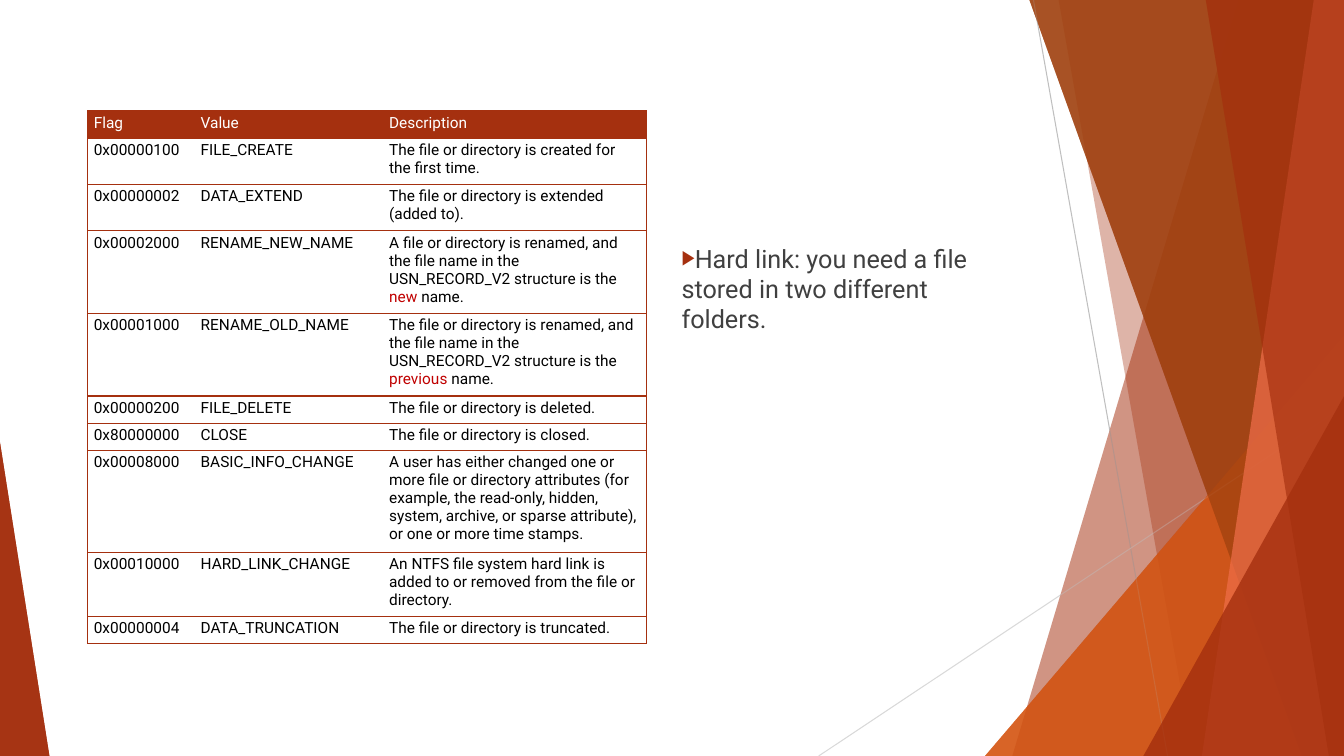
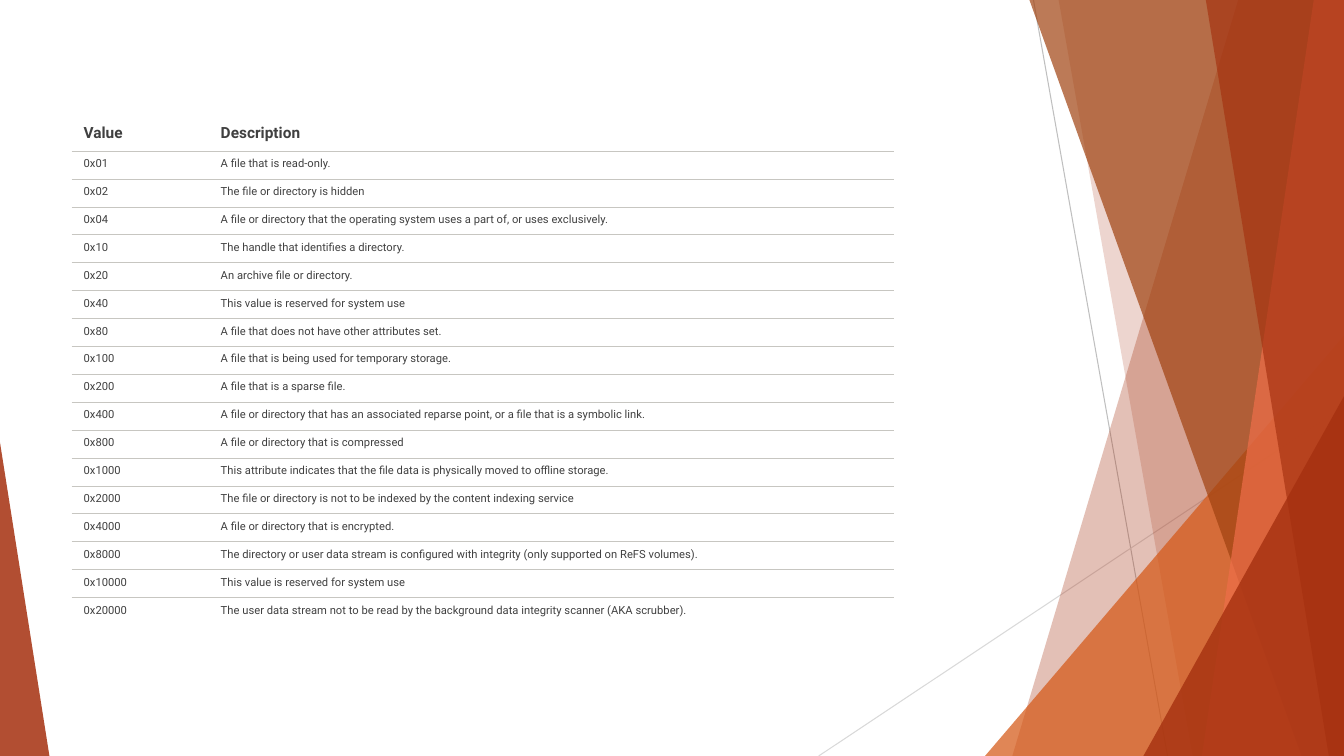
from dataclasses import dataclass

from lxml.etree import SubElement
from pptx import Presentation
from pptx.dml.color import RGBColor
from pptx.enum.shapes import MSO_CONNECTOR as Connector, MSO_SHAPE as Preset
from pptx.enum.text import MSO_AUTO_SIZE as AutoSize, MSO_ANCHOR as Anchor
from pptx.oxml.ns import qn
from pptx.util import Inches, Pt


@dataclass(frozen=True)
class Theme:
    font: str = "Roboto"
    rust: str = "A5300F"
    orange: str = "D55816"
    brown: str = "A04210"
    coral: str = "EE6E4A"
    ink: str = "404040"
    black: str = "000000"
    white: str = "FFFFFF"
    accent: str = "C00000"
    rule: str = "C7C6C1"
    steep_line: str = "BFBFBF"
    shallow_line: str = "D9D9D9"
    body_size: float = 18
    table_size: float = 11
    small_size: float = 8


@dataclass(frozen=True)
class Box:
    left: float
    top: float
    width: float
    height: float

    def inches(self):
        return [Inches(value) for value in (self.left, self.top, self.width, self.height)]


THEME = Theme()
PAGE = Box(0, 0, 13.33, 7.5)

BACKDROP = [
    ("shard", 12.28, 10.04, THEME.rust, 30),
    ("shard", 10.5, 11.83, THEME.rust, 20),
    ("right corner", 3.56, 4.17, THEME.orange, 72),
    ("shard", 10.21, 12.91, THEME.brown, 70),
    ("shard", 13.03, 11.92, THEME.coral, 70),
    ("shard", 11.96, 13.18, THEME.rust, 65),
    ("right corner", 1.99, 3.57, THEME.rust, 80),
    ("left corner", 0.49, 3.11, THEME.rust, 85),
]
BACKDROP_LINES = [
    (10.25, 0, 11.58, 7.5, THEME.steep_line),
    (13.33, 4.03, 8.12, 7.5, THEME.shallow_line),
]

CHANGE_FLAGS = [
    ("Flag", "Value", "Description"),
    ("0x00000100", "FILE_CREATE", "The file or directory is created for the first time."),
    ("0x00000002", "DATA_EXTEND", "The file or directory is extended (added to)."),
    ("0x00002000", "RENAME_NEW_NAME",
     "A file or directory is renamed, and the file name in the USN_RECORD_V2 structure is the *new* name."),
    ("0x00001000", "RENAME_OLD_NAME",
     "The file or directory is renamed, and the file name in the USN_RECORD_V2 structure is the *previous* name."),
    ("0x00000200", "FILE_DELETE", "The file or directory is deleted."),
    ("0x80000000", "CLOSE", "The file or directory is closed."),
    ("0x00008000", "BASIC_INFO_CHANGE",
     "A user has either changed one or more file or directory attributes (for example, the read-only, "
     "hidden, system, archive, or sparse attribute), or one or more time stamps."),
    ("0x00010000", "HARD_LINK_CHANGE",
     "An NTFS file system hard link is added to or removed from the file or directory."),
    ("0x00000004", "DATA_TRUNCATION", "The file or directory is truncated."),
]
CHANGE_HEIGHTS = [0.27, 0.46, 0.46, 0.82, 0.82, 0.27, 0.27, 1.01, 0.64, 0.27]

FILE_ATTRIBUTES = [
    ("Value", "Description"),
    ("0x01", "A file that is read-only."),
    ("0x02", "The file or directory is hidden"),
    ("0x04", "A file or directory that the operating system uses a part of, or uses exclusively."),
    ("0x10", "The handle that identifies a directory."),
    ("0x20", "An archive file or directory."),
    ("0x40", "This value is reserved for system use"),
    ("0x80", "A file that does not have other attributes set."),
    ("0x100", "A file that is being used for temporary storage."),
    ("0x200", "A file that is a sparse file."),
    ("0x400", "A file or directory that has an associated reparse point, or a file that is a symbolic link."),
    ("0x800", "A file or directory that is compressed"),
    ("0x1000", "This attribute indicates that the file data is physically moved to offline storage."),
    ("0x2000", "The file or directory is not to be indexed by the content indexing service"),
    ("0x4000", "A file or directory that is encrypted."),
    ("0x8000", "The directory or user data stream is configured with integrity (only supported on ReFS volumes)."),
    ("0x10000", "This value is reserved for system use"),
    ("0x20000", "The user data stream not to be read by the background data integrity scanner (AKA scrubber)."),
]


def set_attributes(target, formats):
    for name, value in formats.items():
        setattr(target, name, value)


def add_run(paragraph, text, size, color, bold=False):
    run = paragraph.add_run()
    run.text = text
    set_attributes(run.font, {"name": THEME.font, "size": Pt(size), "bold": bold})
    run.font.color.rgb = RGBColor.from_string(color)


def add_color(parent, color):
    return SubElement(parent, qn("a:srgbClr"), val=color)


def paint(shape, color, opacity):
    shape.shadow.inherit = False
    shape.line.fill.background()
    shape.fill.solid()
    shape.fill.fore_color.rgb = RGBColor.from_string(color)
    color_element = shape.element.spPr.find(qn("a:solidFill"))[0]
    SubElement(color_element, qn("a:alpha"), val=str(opacity * 1000))


def add_shard(shapes, box, top_x, bottom_x):
    right, bottom = box.left + box.width, box.top + box.height
    corners = [(box.left + top_x, box.top), (right, box.top), (right, bottom), (box.left + bottom_x, bottom)]
    points = [(Inches(x), Inches(y)) for x, y in corners]
    builder = shapes.build_freeform(*points[0], scale=1.0)
    builder.add_line_segments(points[1:], close=True)
    return builder.convert_to_shape()


def add_corner(shapes, box, width, height, at_right):
    left = box.left + (box.width - width if at_right else 0)
    corner = Box(left, box.top + box.height - height, width, height)
    shape = shapes.add_shape(Preset.ISOSCELES_TRIANGLE, *corner.inches())
    shape.adjustments[0] = 1 if at_right else 0
    return shape


def add_backdrop_line(shapes, box, start_x, start_y, end_x, end_y, color):
    connector = shapes.add_connector(
        Connector.STRAIGHT,
        Inches(box.left + start_x), Inches(box.top + start_y),
        Inches(box.left + end_x), Inches(box.top + end_y))
    connector.line.width = Pt(0.75)
    connector.line.color.rgb = RGBColor.from_string(color)
    SubElement(connector.element.spPr, qn("a:effectLst"))


def add_backdrop(slide, box, with_lines=True):
    shapes = slide.shapes.add_group_shape().shapes
    if with_lines:
        for line in BACKDROP_LINES:
            add_backdrop_line(shapes, box, *line)
    for kind, first, second, color, opacity in BACKDROP:
        if kind == "shard":
            shape = add_shard(shapes, box, first, second)
        else:
            shape = add_corner(shapes, box, first, second, kind == "right corner")
        paint(shape, color, opacity)


def set_borders(cell, borders, width):
    properties = cell._tc.get_or_add_tcPr()
    for side in "LRTB":
        line = SubElement(properties, qn(f"a:ln{side}"), w=str(Pt(width)))
        color = borders.get(side)
        if color:
            add_color(SubElement(line, qn("a:solidFill")), color)
        else:
            SubElement(line, qn("a:noFill"))


def add_table(slide, box, rows, column_widths, row_heights, margins):
    table = slide.shapes.add_table(len(rows), len(rows[0]), *box.inches()).table
    set_attributes(table, {"first_row": False, "horz_banding": False})
    for column, width in zip(table.columns, column_widths):
        column.width = Inches(width)
    for row, height in zip(table.rows, row_heights):
        row.height = Inches(height)
    names = ("margin_left", "margin_top", "margin_right", "margin_bottom")
    cell_format = {name: Inches(value) for name, value in zip(names, margins)}
    for cell in table.iter_cells():
        set_attributes(cell, {**cell_format, "vertical_anchor": Anchor.TOP})
    return table


def add_change_table(slide, box):
    table = add_table(slide, box, CHANGE_FLAGS, [1.06, 1.87, 2.61], CHANGE_HEIGHTS, (0.06, 0.03, 0.06, 0.03))
    for row_index, row in enumerate(CHANGE_FLAGS):
        is_header = row_index == 0
        for column_index, text in enumerate(row):
            cell = table.cell(row_index, column_index)
            outer = {0: "L", len(row) - 1: "R"}.get(column_index, "")
            set_borders(cell, dict.fromkeys("TB" + outer, THEME.rust), 1)
            if is_header:
                cell.fill.solid()
                cell.fill.fore_color.rgb = RGBColor.from_string(THEME.rust)
            else:
                cell.fill.background()
            plain = THEME.white if is_header else THEME.black
            for part_index, part in enumerate(text.split("*")):
                color = THEME.accent if part_index % 2 else plain
                add_run(cell.text_frame.paragraphs[0], part, THEME.table_size, color)


def add_attribute_table(slide, box):
    header_height = 0.33
    last = len(FILE_ATTRIBUTES) - 1
    heights = [header_height] + [(box.height - header_height) / last] * last
    table = add_table(slide, box, FILE_ATTRIBUTES, [1.36, 6.8], heights, (0.12, 0.06, 0.09, 0.06))
    for row_index, row in enumerate(FILE_ATTRIBUTES):
        is_header = row_index == 0
        sides = ("" if is_header else "T") + ("" if row_index == last else "B")
        size = THEME.table_size if is_header else THEME.small_size
        for column_index, text in enumerate(row):
            cell = table.cell(row_index, column_index)
            set_borders(cell, dict.fromkeys(sides, THEME.rule), 0.75)
            cell.fill.background()
            add_run(cell.text_frame.paragraphs[0], text, size, THEME.ink, is_header)


def fill_body(body, box, text):
    set_attributes(body, dict(zip(("left", "top", "width", "height"), box.inches())))
    frame = body.text_frame
    set_attributes(frame, {"word_wrap": True, "auto_size": AutoSize.NONE, "vertical_anchor": Anchor.TOP})
    paragraph = frame.paragraphs[0]
    properties = paragraph._p.get_or_add_pPr()
    for name in ("marL", "indent"):
        properties.set(name, "0")
    add_color(SubElement(properties, qn("a:buClr")), THEME.rust)
    SubElement(properties, qn("a:buSzPct"), val="80000")
    SubElement(properties, qn("a:buFont"), typeface="Arial")
    SubElement(properties, qn("a:buChar"), char="▶")
    paragraph.space_before = Pt(0)
    add_run(paragraph, text, THEME.body_size, THEME.ink)


def add_change_slide(presentation):
    slide = presentation.slides.add_slide(presentation.slide_layouts[1])
    title = slide.shapes.title.element
    title.getparent().remove(title)
    add_backdrop(slide, PAGE, with_lines=False)
    add_backdrop(slide, PAGE)
    fill_body(slide.placeholders[1], Box(6.66, 2.36, 3.47, 4.24),
              "Hard link: you need a file stored in two different folders.")
    add_change_table(slide, Box(0.87, 1.1, 5.54, sum(CHANGE_HEIGHTS)))


def add_attribute_slide(presentation):
    slide = presentation.slides.add_slide(presentation.slide_layouts[6])
    add_backdrop(slide, PAGE)
    add_attribute_table(slide, Box(0.71, 1.17, 8.16, 5.04))


def main():
    presentation = Presentation()
    set_attributes(presentation, {"slide_width": Inches(PAGE.width), "slide_height": Inches(PAGE.height)})
    add_change_slide(presentation)
    add_attribute_slide(presentation)
    presentation.save("out.pptx")


if __name__ == "__main__":
    main()
